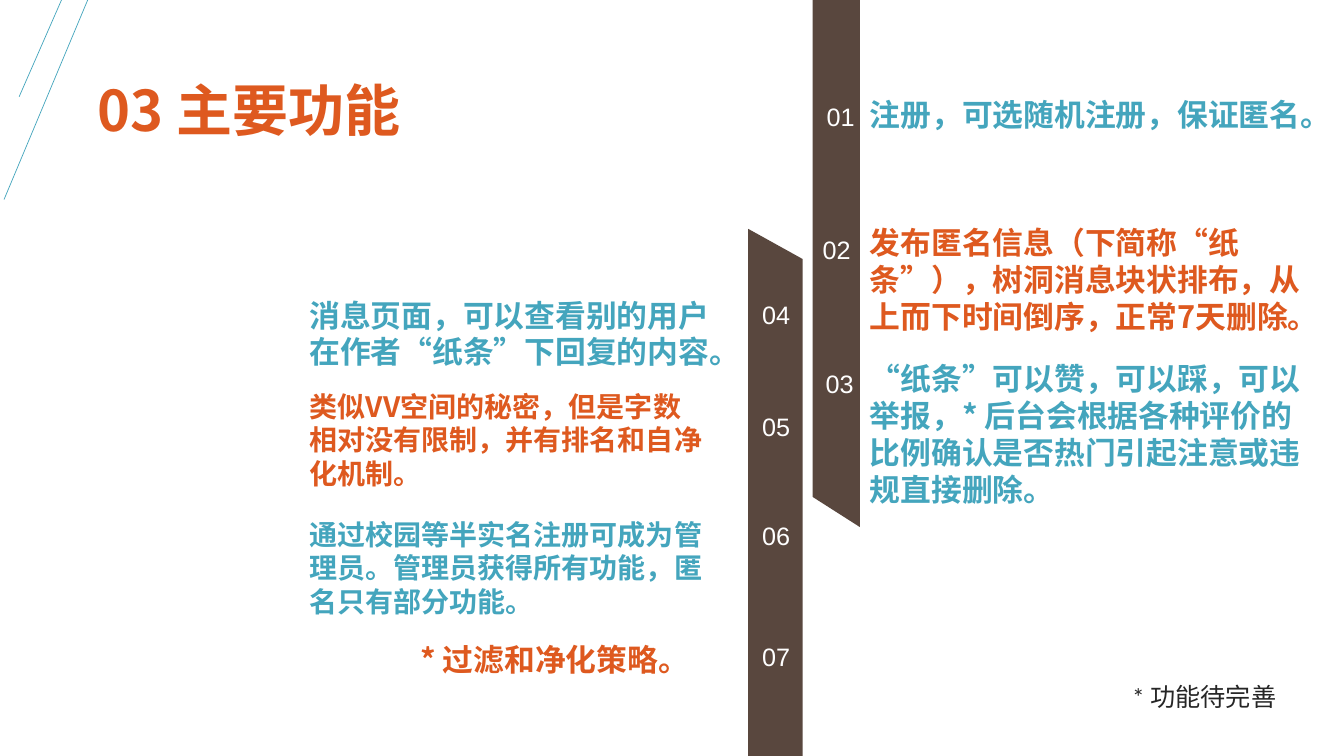
"""Build the slide that lists the seven main functions along two vertical bands."""
from lxml.etree import SubElement
from pptx import Presentation
from pptx.dml.color import RGBColor
from pptx.enum.shapes import MSO_CONNECTOR
from pptx.enum.text import MSO_ANCHOR, MSO_AUTO_SIZE, PP_ALIGN
from pptx.oxml.ns import qn
from pptx.util import Inches, Pt

TEAL = RGBColor(0x44, 0xA5, 0xBD)
ORANGE = RGBColor(0xDE, 0x59, 0x1F)
BROWN = RGBColor(0x59, 0x47, 0x3E)
DARK = RGBColor(0x26, 0x26, 0x26)
WHITE = RGBColor(0xFF, 0xFF, 0xFF)
CJK = "Noto Sans CJK SC"

WIDTH, HEIGHT = 13.33, 7.5
BAND_LENGTH, BAND_SLANT = 5.23, 0.3
LINE_RATIO, INSET = 1.21, 0.05
NUMBER_WIDTH, NUMBER_SIZE = 0.7, 18

TITLE = "03 主要功能"
FOOTNOTE = "* 功能待完善"

# number left, number top, text left, text top, text width, lines, size, text
RIGHT_FUNCTIONS = [
    (8.1, 0.96, 8.53, 0.9, 4.69, 1, 22, "注册，可选随机注册，保证匿名。"),
    (8.06, 2.28, 8.53, 2.17, 4.57, 3, 22,
     "发布匿名信息（下简称“纸条”），树洞消息块状排布，从上而下时间倒序，正常7天删除。"),
    (8.09, 3.61, 8.53, 3.52, 4.57, 4, 22,
     "“纸条”可以赞，可以踩，可以举报，* 后台会根据各种评价的比例确认是否热门引起注意或违规直接删除。"),
]
LEFT_FUNCTIONS = [
    (7.46, 2.92, 2.97, 2.89, 4.45, 2, 22,
     "消息页面，可以查看别的用户在作者“纸条”下回复的内容。"),
    (7.46, 4.03, 2.97, 3.81, 4.16, 3, 20,
     "类似VV空间的秘密，但是字数相对没有限制，并有排名和自净化机制。"),
    (7.46, 5.11, 2.97, 5.08, 4.18, 3, 20,
     "通过校园等半实名注册可成为管理员。管理员获得所有功能，匿名只有部分功能。"),
    (7.46, 6.31, 4.07, 6.31, 3.05, 1, 22, "* 过滤和净化策略。"),
]
RIGHT_BAND = [(8.06, 0), (8.53, 0), (8.53, BAND_LENGTH),
              (8.06, BAND_LENGTH - BAND_SLANT)]
LEFT_BAND = [(7.96, HEIGHT), (7.42, HEIGHT), (7.42, HEIGHT - BAND_LENGTH),
             (7.96, HEIGHT - BAND_LENGTH + BAND_SLANT)]
CORNER_LINES = [((0.61, 0), (0.19, 0.96)), ((0.87, 0), (0.04, 1.98))]


def style(paragraph, size, colour, font, bold):
    """Format every run, with the same face for Chinese text."""
    for run in paragraph.runs:
        run.font.size, run.font.bold, run.font.name = Pt(size), bold, font
        run.font.color.rgb = colour
        SubElement(run.font._element, qn("a:ea")).set("typeface", CJK)


def add_text(slide, left, top, width, lines, size, text, colour, font=CJK, bold=True):
    """Add a wrapped text box as high as its lines."""
    height = 2 * INSET + lines * size * LINE_RATIO / 72
    box = slide.shapes.add_textbox(*map(Inches, (left, top, width, height)))
    box.text_frame.word_wrap = True
    box.text_frame.text = text
    style(box.text_frame.paragraphs[0], size, colour, font, bold)


def add_band(slide, corners):
    """Draw one slanted band."""
    start, *others = [(Inches(x), Inches(y)) for x, y in corners]
    builder = slide.shapes.build_freeform(*start)
    builder.add_line_segments(others, close=True)
    band = builder.convert_to_shape()
    band.shadow.inherit = False
    band.fill.solid()
    band.fill.fore_color.rgb = BROWN
    band.line.fill.background()


def add_title(slide):
    """Place and format the title placeholder."""
    title = slide.shapes.title
    title.left, title.top, title.width, title.height = map(Inches, (0.87, 0.61, 5.59, 1.02))
    frame = title.text_frame
    frame.text = TITLE
    frame.auto_size = MSO_AUTO_SIZE.NONE
    frame.vertical_anchor = MSO_ANCHOR.MIDDLE
    heading = frame.paragraphs[0]
    heading.alignment, heading.line_spacing = PP_ALIGN.LEFT, 0.9
    style(heading, 40, ORANGE, CJK, True)


def main():
    """Assemble and save the slide."""
    deck = Presentation()
    deck.slide_width, deck.slide_height = Inches(WIDTH), Inches(HEIGHT)
    slide = deck.slides.add_slide(deck.slide_layouts[5])
    add_title(slide)
    for corners in (RIGHT_BAND, LEFT_BAND):
        add_band(slide, corners)
    for start, end in CORNER_LINES:
        line = slide.shapes.add_connector(MSO_CONNECTOR.STRAIGHT, *map(Inches, start + end))
        line.line.color.rgb, line.line.width = TEAL, Pt(0.5)
        SubElement(line._element.spPr, qn("a:effectLst"))
    number = 0
    for functions in (RIGHT_FUNCTIONS, LEFT_FUNCTIONS):
        for row, (number_left, number_top, *description) in enumerate(functions):
            number += 1
            add_text(slide, number_left, number_top, NUMBER_WIDTH, 1, NUMBER_SIZE,
                     f"{number:02d}", WHITE, "Arial", False)
            add_text(slide, *description, (TEAL, ORANGE)[row % 2])
    add_text(slide, 11.13, 6.71, 1.97, 1, 18, FOOTNOTE, DARK, "Calibri", False)
    deck.save("out.pptx")


if __name__ == "__main__":
    main()
